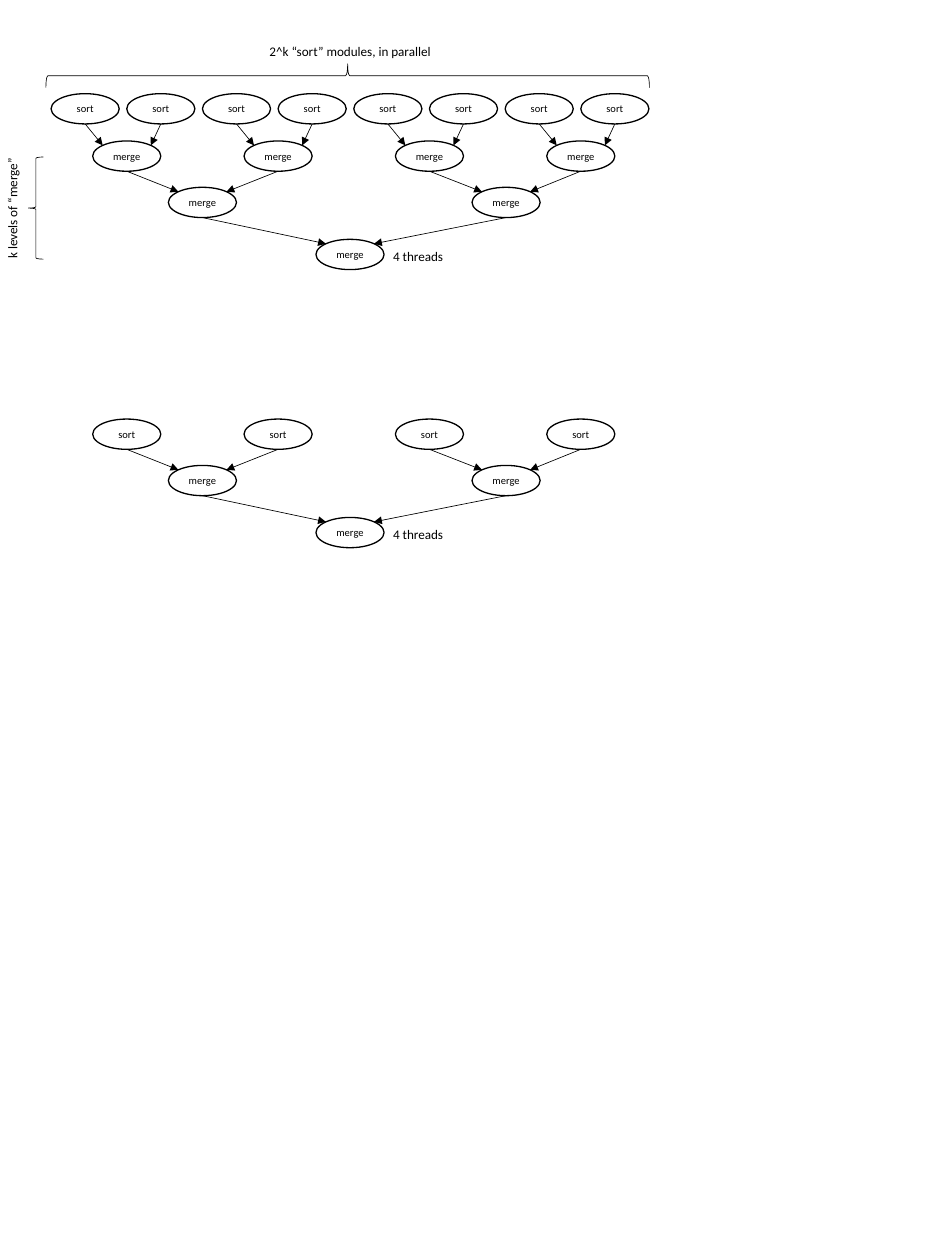
"""Build a slide with two merge-sort trees, one of eight and one of four sort modules."""
from math import sqrt

from lxml.etree import SubElement
from pptx import Presentation
from pptx.dml.color import RGBColor
from pptx.enum.shapes import MSO_CONNECTOR as Link, MSO_SHAPE as Preset
from pptx.enum.text import MSO_ANCHOR as Anchor, MSO_AUTO_SIZE as Fit, PP_ALIGN as Align
from pptx.oxml.ns import qn
from pptx.util import Inches, Pt

COLORS = {"ink": "000000"}
FONT = "Calibri"
NODE_W, NODE_H = 0.72, 0.32

# Each level is label, first left, pitch, count, top.
TREES = [
    [("sort", 0.54, 0.8, 8, 0.99), ("merge", 0.98, 1.6, 4, 1.49),
     ("merge", 1.78, 3.21, 2, 1.98), ("merge", 3.34, 0, 1, 2.53)],
    [("sort", 0.98, 1.6, 4, 4.43), ("merge", 1.78, 3.21, 2, 4.92),
     ("merge", 3.34, 0, 1, 5.47)],
]
BRACES = [((3.55, -2.39, 0.25, 6.38), 90), ((0.3, 1.66, 0.16, 1.08), 0)]
CAPTIONS = [
    ("2^k “sort” modules, in parallel", (2.74, 0.41, 1.92, 0.27), 0),
    ("k levels of “merge”", (-0.51, 2.07, 1.28, 0.27), 270),
    ("4 threads", (4.05, 2.58, 0.74, 0.27), 0),
    ("4 threads", (4.05, 5.52, 0.74, 0.27), 0),
]


def ink():
    return RGBColor.from_string(COLORS["ink"])


def set_line(shape, width):
    shape.line.color.rgb = ink()
    shape.line.width = Pt(width)


def write(shape, text, size, **frame_format):
    frame = shape.text_frame
    for name, value in frame_format.items():
        setattr(frame, name, value)
    para = frame.paragraphs[0]
    para.alignment = Align.CENTER
    span = para.add_run()
    span.text = text
    for name, value in {"name": FONT, "size": Pt(size)}.items():
        setattr(span.font, name, value)
    span.font.color.rgb = ink()


def add_outline(shapes, preset, area, width):
    shape = shapes.add_shape(preset, *map(Inches, area))
    shape.shadow.inherit = False
    shape.fill.background()
    set_line(shape, width)
    return shape


def add_arrow(shapes, start, end):
    arrow = shapes.add_connector(Link.STRAIGHT, *map(Inches, start + end))
    set_line(arrow, 0.5)
    SubElement(arrow.line._get_or_add_ln(), qn("a:tailEnd"), type="triangle")
    SubElement(arrow._element.spPr, qn("a:effectLst"))


def add_tree(shapes, levels):
    parents = []
    for label, first, pitch, count, top in levels:
        lefts = [first + pitch * i for i in range(count)]
        for left in lefts:
            node = add_outline(shapes, Preset.OVAL, (left, top, NODE_W, NODE_H), 1)
            write(node, label, 8, margin_left=0, margin_right=0,
                  vertical_anchor=Anchor.MIDDLE)
        for i, (left, bottom) in enumerate(parents):
            side = 1 if i % 2 else -1
            end_x = lefts[i // 2] + NODE_W / 2 * (1 + side / sqrt(2))
            end_y = top + NODE_H / 2 * (1 - 1 / sqrt(2))
            add_arrow(shapes, (left + NODE_W / 2, bottom), (end_x, end_y))
        parents = [(left, top + NODE_H) for left in lefts]


deck = Presentation()
deck.slide_width, deck.slide_height = Inches(9.99), Inches(13.32)
page = deck.slides.add_slide(deck.slide_layouts[6])

for area, angle in BRACES:
    add_outline(page.shapes, Preset.LEFT_BRACE, area, 0.5).rotation = angle
for text, area, angle in CAPTIONS:
    box = page.shapes.add_textbox(*map(Inches, area))
    box.rotation = angle
    write(box, text, 10, word_wrap=False, auto_size=Fit.SHAPE_TO_FIT_TEXT)
for levels in TREES:
    add_tree(page.shapes.add_group_shape().shapes, levels)

deck.save("out.pptx")
